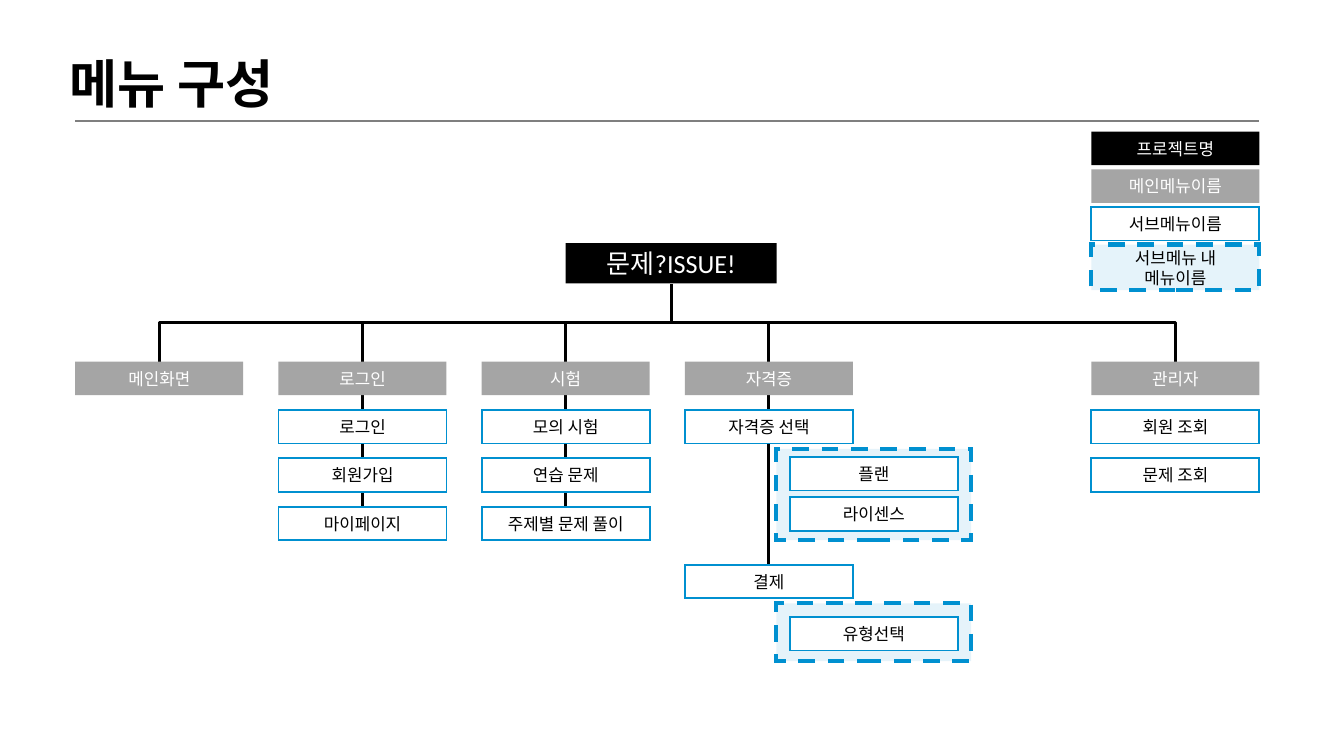
from dataclasses import dataclass
from typing import Any, Optional

from lxml import etree
from pptx import Presentation
from pptx.dml.color import RGBColor
from pptx.enum.dml import MSO_LINE
from pptx.enum.shapes import MSO_CONNECTOR, MSO_SHAPE
from pptx.enum.text import MSO_ANCHOR, MSO_AUTO_SIZE, PP_ALIGN
from pptx.oxml.ns import qn
from pptx.util import Inches, Pt

STRAIGHT, ELBOW = MSO_CONNECTOR.STRAIGHT, MSO_CONNECTOR.ELBOW
RECTANGLE = MSO_SHAPE.RECTANGLE
DASH = MSO_LINE.DASH
TOP, MIDDLE = MSO_ANCHOR.TOP, MSO_ANCHOR.MIDDLE
LEFT, CENTER = PP_ALIGN.LEFT, PP_ALIGN.CENTER
GROW = MSO_AUTO_SIZE.SHAPE_TO_FIT_TEXT

BLACK = RGBColor(0x00, 0x00, 0x00)
WHITE = RGBColor(0xFF, 0xFF, 0xFF)
GRAY = RGBColor(0xA5, 0xA5, 0xA5)
RULE_GRAY = RGBColor(0x7F, 0x7F, 0x7F)
BLUE = RGBColor(0x00, 0x90, 0xD0)

FONT = "Calibri"
PAGE_WIDTH = 10
PAGE_HEIGHT = PAGE_WIDTH * 9 / 16
GRID_LEFT, GRID_RIGHT, GRID_TOP = 0.56, 9.37, 2.69
BOX_WIDTH, BOX_HEIGHT = 1.25, 0.25
COLUMN_STEP = (GRID_RIGHT - BOX_WIDTH - GRID_LEFT) / 5
ROW_STEP = 0.36
BRANCH_TOP, BRANCH_MIDDLE = 2.11, 2.4
ROOT_CENTER = PAGE_WIDTH / 2
PAYMENT_ROW = 4.2
PANEL_INDENT, PANEL_PAD = 0.68, 0.1
LEGEND_TOP, LEGEND_STEP = 0.98, 0.28


@dataclass(frozen=True)
class Style:
    fill: RGBColor
    text: RGBColor
    line: Optional[RGBColor] = None
    weight: float = 1
    opacity: int = 100
    dashed: bool = False


PROJECT = Style(BLACK, WHITE)
MAIN = Style(GRAY, WHITE)
SUB = Style(WHITE, BLACK, BLUE)
INNER = Style(BLUE, BLACK, BLUE, 2.25, 10, True)


@dataclass(frozen=True)
class Menu:
    column: int
    name: str
    items: tuple[tuple[float, str], ...] = ()
    spine_row: float = 0


@dataclass(frozen=True)
class Panel:
    top: float
    height: float
    first_top: float
    items: tuple[str, ...]


MENUS = (
    Menu(0, "메인화면"),
    Menu(1, "로그인", ((1, "로그인"), (2, "회원가입"), (3, "마이페이지")), 3),
    Menu(2, "시험", ((1, "모의 시험"), (2, "연습 문제"), (3, "주제별 문제 풀이")), 3),
    Menu(3, "자격증", ((1, "자격증 선택"), (PAYMENT_ROW, "결제")), PAYMENT_ROW),
    Menu(5, "관리자", ((1, "회원 조회"), (2, "문제 조회"))),
)
PANELS = (
    Panel(4.49, 0.43, 4.59, ("유형선택",)),
    Panel(3.34, 0.68, 3.4, ("플랜", "라이센스")),
)
LEGEND = (
    ("프로젝트명", PROJECT, BOX_HEIGHT),
    ("메인메뉴이름", MAIN, BOX_HEIGHT),
    ("서브메뉴이름", SUB, BOX_HEIGHT),
    ("서브메뉴 내 메뉴이름", INNER, 0.34),
)


def column_left(column: float) -> float:
    return GRID_LEFT + column * COLUMN_STEP


def column_center(column: float) -> float:
    return column_left(column) + BOX_WIDTH / 2


def row_top(row: float) -> float:
    return GRID_TOP + row * ROW_STEP


def write_text(shape: Any, text: str, *, size: float, color: RGBColor,
               bold: bool = False, align: Any = CENTER, anchor: Any = MIDDLE) -> None:
    frame = shape.text_frame
    frame.word_wrap = True
    frame.vertical_anchor = anchor
    frame.margin_left = frame.margin_right = Inches(0.09)
    frame.margin_top = frame.margin_bottom = Inches(0.04)
    para = frame.paragraphs[0]
    para.alignment = align
    span = para.add_run()
    span.text = text
    span.font.name = FONT
    span.font.size = Pt(size)
    span.font.bold = bold
    span.font.color.rgb = color


def add_box(shapes: Any, left: float, top: float, style: Style, text: str = "", *,
            width: float = BOX_WIDTH, height: float = BOX_HEIGHT, size: float = 9) -> None:
    box = shapes.add_shape(RECTANGLE, Inches(left), Inches(top), Inches(width), Inches(height))
    box.shadow.inherit = False
    box.fill.solid()
    box.fill.fore_color.rgb = style.fill
    if style.opacity < 100:
        color = box._element.spPr.find(qn("a:solidFill"))[0]
        etree.SubElement(color, qn("a:alpha")).set("val", str(style.opacity * 1000))
    if style.line is None:
        box.line.fill.background()
    else:
        box.line.color.rgb = style.line
        box.line.width = Pt(style.weight)
        if style.dashed:
            box.line.dash_style = DASH
        outline = box._element.spPr.find(qn("a:ln"))
        etree.SubElement(outline, qn("a:miter")).set("lim", "800000")
    if text:
        write_text(box, text, size=size, color=style.text)


def add_line(shapes: Any, start: tuple[float, float], end: tuple[float, float],
             color: RGBColor = BLACK, kind: Any = STRAIGHT) -> Any:
    line = shapes.add_connector(kind, *map(Inches, start + end))
    line.line.color.rgb = color
    line.line.width = Pt(1.5)
    etree.SubElement(line._element.spPr, qn("a:effectLst"))
    return line


def add_branch(shapes: Any, foot: float) -> None:
    rise, run = GRID_TOP - BRANCH_TOP, abs(ROOT_CENTER - foot)
    middle_x, middle_y = (ROOT_CENTER + foot) / 2, (GRID_TOP + BRANCH_TOP) / 2
    line = add_line(shapes, (middle_x - rise / 2, middle_y - run / 2),
                    (middle_x + rise / 2, middle_y + run / 2), kind=ELBOW)
    frame = line._element.spPr.find(qn("a:xfrm"))
    if foot < ROOT_CENTER:
        frame.set("rot", str(270 * 60000))
    else:
        frame.set("rot", str(90 * 60000))
        frame.set("flipH", "1")


def add_title(page: Any) -> None:
    title = page.shapes.title
    title.left, title.top, title.width, title.height = map(Inches, (0.43, 0.34, 1.94, 0.48))
    write_text(title, "메뉴 구성", size=28, color=BLACK, bold=True, align=LEFT, anchor=TOP)
    title.text_frame.auto_size = GROW
    add_line(page.shapes, (GRID_LEFT, 0.9), (GRID_RIGHT, 0.9), RULE_GRAY)


def add_menus(shapes: Any) -> None:
    for column in (MENUS[0].column, MENUS[-1].column):
        add_branch(shapes, column_center(column))
    for menu in MENUS:
        if menu.spine_row:
            center = column_center(menu.column)
            add_line(shapes, (center, row_top(menu.spine_row)), (center, BRANCH_MIDDLE))
    add_box(shapes, 4.21, 1.81, PROJECT, "문제?ISSUE!", width=1.57, height=0.3, size=14)
    for menu in MENUS:
        left = column_left(menu.column)
        add_box(shapes, left, row_top(0), MAIN, menu.name)
        for row, name in menu.items:
            add_box(shapes, left, row_top(row), SUB, name)


def add_panels(shapes: Any) -> None:
    left = column_left(3) + PANEL_INDENT
    for panel in PANELS:
        add_box(shapes, left, panel.top, INNER,
                width=BOX_WIDTH + 2 * PANEL_PAD, height=panel.height)
        for index, name in enumerate(panel.items):
            add_box(shapes, left + PANEL_PAD, panel.first_top + index * 0.3, SUB, name)


def add_legend(shapes: Any) -> None:
    group = shapes.add_group_shape()
    for index, (name, style, height) in enumerate(LEGEND):
        add_box(group.shapes, column_left(5), LEGEND_TOP + index * LEGEND_STEP,
                style, name, height=height)


def main() -> None:
    deck = Presentation()
    deck.slide_width, deck.slide_height = Inches(PAGE_WIDTH), Inches(PAGE_HEIGHT)
    page = deck.slides.add_slide(deck.slide_layouts[5])
    add_title(page)
    add_menus(page.shapes)
    add_panels(page.shapes)
    add_legend(page.shapes)
    deck.save("out.pptx")


if __name__ == "__main__":
    main()
